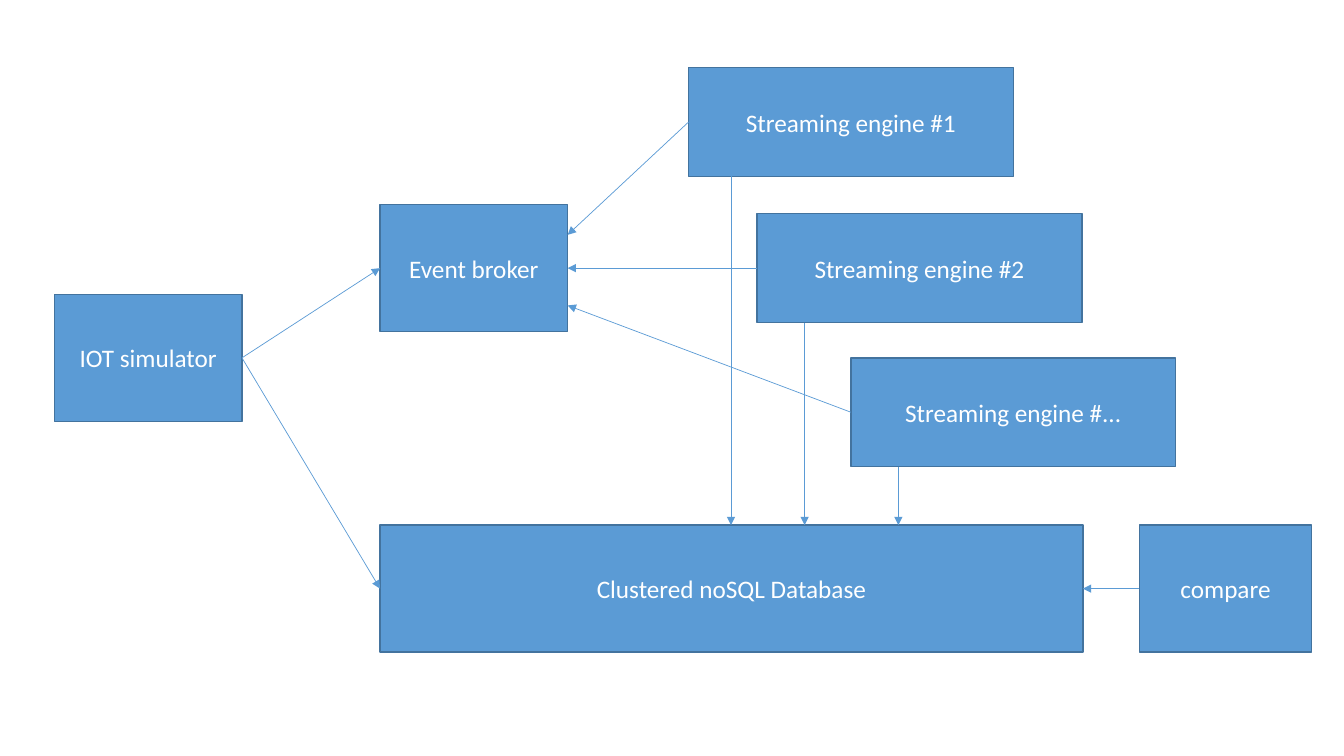
from dataclasses import dataclass
from typing import Optional

from pptx import Presentation
from pptx.dml.color import RGBColor
from pptx.enum import shapes, text
from pptx.oxml.ns import qn
from pptx.util import Inches, Pt
from lxml import etree


@dataclass(frozen=True)
class Theme:
    fill: RGBColor = RGBColor(0x5B, 0x9B, 0xD5)
    outline: RGBColor = RGBColor(0x43, 0x73, 0x9E)
    label: RGBColor = RGBColor(0xFF, 0xFF, 0xFF)
    font: str = "Calibri"
    label_size: float = 18
    outline_width: float = 1
    arrow_width: float = 0.5


@dataclass(frozen=True)
class Box:
    label: str
    left: float
    top: float
    width: float
    height: float


@dataclass(frozen=True)
class Arrow:
    """Each end is a point; a box and a side are given where it is joined."""
    start: tuple[float, float]
    end: tuple[float, float]
    start_join: Optional[tuple[Box, int]] = None
    end_join: Optional[tuple[Box, int]] = None


THEME = Theme()
TOP, LEFT, BOTTOM, RIGHT = range(4)

# Boxes
NODE_WIDTH, NODE_HEIGHT = 1.86, 1.26
ENGINE_WIDTH, ENGINE_HEIGHT = 3.22, 1.08
STORE_TOP = 5.21

simulator = Box("IOT simulator", 0.54, 2.92, NODE_WIDTH, NODE_HEIGHT)
broker = Box("Event broker", 3.77, 2.03, NODE_WIDTH, NODE_HEIGHT)
database = Box("Clustered noSQL Database", 3.77, STORE_TOP, 6.97, NODE_HEIGHT)
compare = Box("compare", 11.3, STORE_TOP, 1.71, NODE_HEIGHT)
engines = [
    Box(f"Streaming engine #{mark}", left, top, ENGINE_WIDTH, ENGINE_HEIGHT)
    for mark, left, top in [("1", 6.83, 0.67), ("2", 7.51, 2.12), ("...", 8.44, 3.55)]
]


def side_middle(box: Box, side: int) -> tuple[float, float]:
    across, down = {TOP: (0.5, 0), LEFT: (0, 0.5), BOTTOM: (0.5, 1), RIGHT: (1, 0.5)}[side]
    return box.left + across * box.width, box.top + down * box.height


def joined(source: Box, source_side: int, target: Box, target_side: int) -> Arrow:
    return Arrow(side_middle(source, source_side), side_middle(target, target_side),
                 (source, source_side), (target, target_side))


# Arrows
broker_right = broker.left + broker.width
first, second, third = engines
arrows = [
    joined(simulator, RIGHT, broker, LEFT),
    joined(simulator, RIGHT, database, LEFT),
    Arrow(side_middle(first, LEFT), (broker_right, 2.33), (first, LEFT)),
    joined(second, LEFT, broker, RIGHT),
    Arrow(side_middle(third, LEFT), (broker_right, 3.03), (third, LEFT)),
    joined(compare, LEFT, database, RIGHT),
]
arrows += [
    Arrow((x, engine.top + engine.height), (x, database.top))
    for engine, x in zip(engines, (7.25, 7.98, 8.91))
]


def draw_box(slide, box: Box):
    shape = slide.shapes.add_shape(
        shapes.MSO_SHAPE.RECTANGLE,
        Inches(box.left), Inches(box.top), Inches(box.width), Inches(box.height))
    shape.shadow.inherit = False
    shape.fill.solid()
    shape.fill.fore_color.rgb = THEME.fill
    shape.line.color.rgb = THEME.outline
    shape.line.width = Pt(THEME.outline_width)
    frame = shape.text_frame
    frame.word_wrap = True
    frame.vertical_anchor = text.MSO_ANCHOR.MIDDLE
    paragraph = frame.paragraphs[0]
    paragraph.text = box.label
    paragraph.alignment = text.PP_ALIGN.CENTER
    paragraph.font.name = THEME.font
    paragraph.font.size = Pt(THEME.label_size)
    paragraph.font.color.rgb = THEME.label
    return shape


def draw_arrow(slide, arrow: Arrow, drawn: dict) -> None:
    connector = slide.shapes.add_connector(
        shapes.MSO_CONNECTOR.STRAIGHT,
        *(Inches(value) for value in arrow.start + arrow.end))
    if arrow.start_join:
        box, side = arrow.start_join
        connector.begin_connect(drawn[box], side)
    if arrow.end_join:
        box, side = arrow.end_join
        connector.end_connect(drawn[box], side)
    connector.line.color.rgb = THEME.fill
    connector.line.width = Pt(THEME.arrow_width)
    # Arrowhead, and no shadow
    properties = connector._element.spPr
    etree.SubElement(properties.find(qn("a:ln")), qn("a:tailEnd"), type="triangle")
    etree.SubElement(properties, qn("a:effectLst"))


def main() -> None:
    presentation = Presentation()
    presentation.slide_width = Inches(13.33)
    presentation.slide_height = Inches(7.5)
    blank_layout = presentation.slide_layouts[6]
    slide = presentation.slides.add_slide(blank_layout)

    drawn = {box: draw_box(slide, box)
             for box in (simulator, broker, database, *engines, compare)}
    for arrow in arrows:
        draw_arrow(slide, arrow, drawn)

    presentation.save("out.pptx")


if __name__ == "__main__":
    main()
